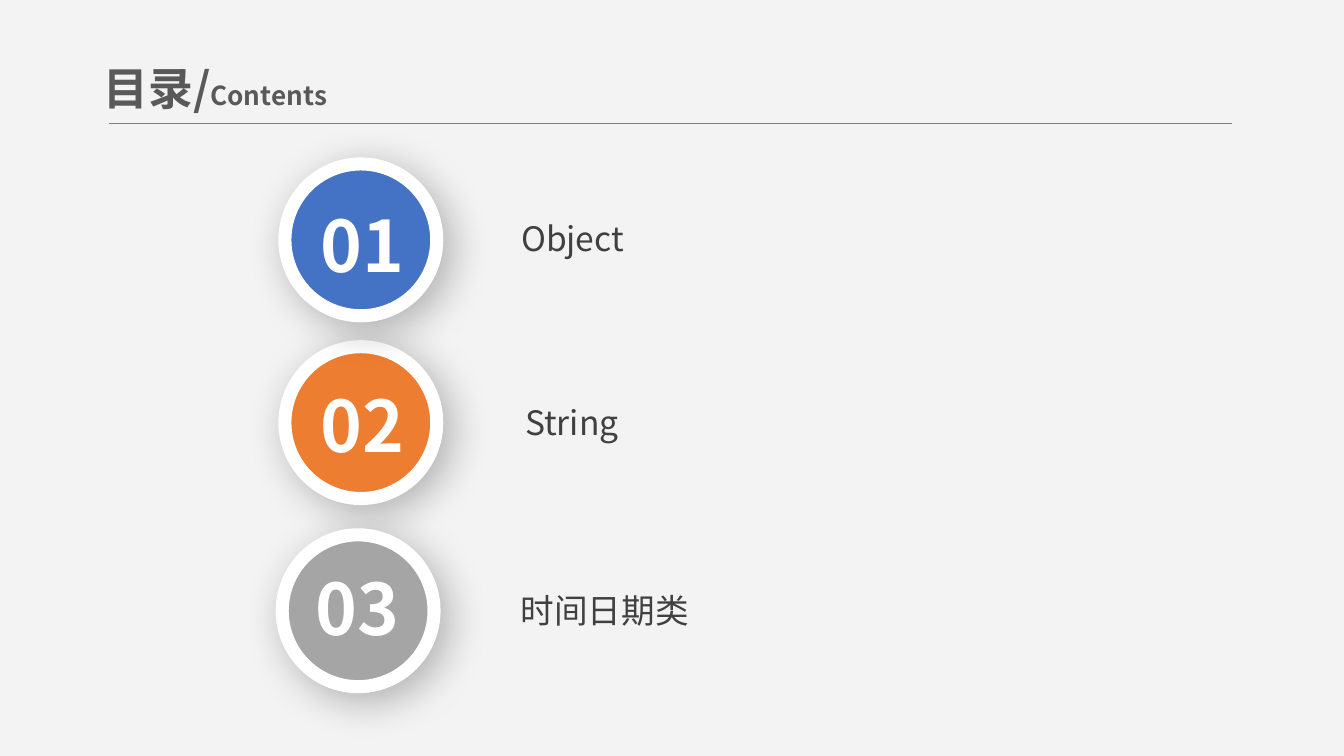
from lxml import etree
from pptx import Presentation
from pptx.dml.color import RGBColor
from pptx.enum.shapes import MSO_CONNECTOR, MSO_SHAPE
from pptx.enum.text import MSO_ANCHOR, MSO_AUTO_SIZE, PP_ALIGN
from pptx.oxml import parse_xml
from pptx.oxml.ns import nsdecls, qn
from pptx.util import Inches, Pt

STRAIGHT = MSO_CONNECTOR.STRAIGHT
OVAL = MSO_SHAPE.OVAL
MIDDLE = MSO_ANCHOR.MIDDLE
NO_FIT, GROW = MSO_AUTO_SIZE.NONE, MSO_AUTO_SIZE.SHAPE_TO_FIT_TEXT
LEFT, CENTER = PP_ALIGN.LEFT, PP_ALIGN.CENTER

FONT = "Noto Sans CJK SC"
BACKGROUND = RGBColor(0xF3, 0xF3, 0xF3)
HEADING = RGBColor(0x59, 0x59, 0x59)
RULE = RGBColor(0x80, 0x80, 0x80)
BODY = RGBColor(0x40, 0x40, 0x40)
WHITE = RGBColor(0xFF, 0xFF, 0xFF)
BLUE = RGBColor(0x44, 0x72, 0xC4)
ORANGE = RGBColor(0xED, 0x7D, 0x31)
GRAY = RGBColor(0xA5, 0xA5, 0xA5)

SLIDE_WIDTH = 10
SLIDE_HEIGHT = SLIDE_WIDTH * 9 / 16
BADGE_SIZE = 1.13
TOPICS = [
    ("Object", 3.52, 1.58, 1.48),
    ("String", 3.6, 2.95, 1.31),
    ("时间日期类", 3.52, 4.35, 1.96),
]
BADGES = [
    ("02", ORANGE, (2.12, 2.58), (2.27, 2.8)),
    ("03", GRAY, (2.1, 3.98), (2.23, 4.16)),
    ("01", BLUE, (2.12, 1.22), (2.27, 1.46)),
]


def add_run(paragraph, text, *, size, color, bold=False):
    run = paragraph.add_run()
    run.text = text
    run.font.size = Pt(size)
    run.font.bold = bold
    run.font.color.rgb = color
    run.font.name = FONT
    east_asian = etree.SubElement(run.font._element, qn("a:ea"))
    east_asian.set("typeface", FONT)


def add_label(shapes, text, left, top, width, height, **style):
    label = shapes.add_textbox(Inches(left), Inches(top), Inches(width), Inches(height))
    frame = label.text_frame
    frame.word_wrap = True
    frame.auto_size = GROW
    frame.margin_left = frame.margin_right = Inches(0.07)
    frame.margin_top = frame.margin_bottom = Inches(0.04)
    paragraph = frame.paragraphs[0]
    paragraph.alignment = CENTER
    add_run(paragraph, text, **style)


def add_heading(slide):
    title = slide.shapes.title
    title.left, title.top = Inches(0.67), Inches(0.38)
    title.width, title.height = Inches(2.47), Inches(0.54)
    frame = title.text_frame
    frame.vertical_anchor = MIDDLE
    frame.auto_size = NO_FIT
    paragraph = frame.paragraphs[0]
    paragraph.alignment = LEFT
    add_run(paragraph, "目录/", size=24, color=HEADING, bold=True)
    add_run(paragraph, "Contents", size=14, color=HEADING, bold=True)


def add_rule(slide):
    y = Inches(0.92)
    rule = slide.shapes.add_connector(STRAIGHT, Inches(0.81), y, Inches(9.17), y)
    rule.line.color.rgb = RULE
    rule.line.width = Pt(0.5)
    etree.SubElement(rule._element.spPr, qn("a:effectLst"))


def add_soft_shadow(shape):
    shape.shadow.inherit = False
    effects = shape._element.spPr.find(qn("a:effectLst"))
    effects.append(parse_xml(
        f'<a:outerShdw {nsdecls("a")} blurRad="{Pt(22)}" dist="{Pt(6)}" '
        'dir="2700000" algn="tl" rotWithShape="0"><a:srgbClr val="000000">'
        '<a:alpha val="28000"/></a:srgbClr></a:outerShdw>'
    ))


def add_badge(slide, number, color, disc_at, number_at):
    badge = slide.shapes.add_group_shape()
    left, top = disc_at
    disc = badge.shapes.add_shape(
        OVAL, Inches(left), Inches(top), Inches(BADGE_SIZE), Inches(BADGE_SIZE))
    disc.fill.solid()
    disc.fill.fore_color.rgb = color
    disc.line.color.rgb = WHITE
    disc.line.width = Pt(7)
    add_soft_shadow(disc)
    add_label(badge.shapes, number, *number_at, 0.86, 0.72,
              size=38, color=WHITE, bold=True)


def main():
    prs = Presentation()
    prs.slide_width, prs.slide_height = Inches(SLIDE_WIDTH), Inches(SLIDE_HEIGHT)
    slide = prs.slides.add_slide(prs.slide_layouts[5])
    slide.background.fill.solid()
    slide.background.fill.fore_color.rgb = BACKGROUND
    add_heading(slide)
    add_rule(slide)
    for topic, left, top, width in TOPICS:
        add_label(slide.shapes, topic, left, top, width, 0.38, size=18, color=BODY)
    for number, color, disc_at, number_at in BADGES:
        add_badge(slide, number, color, disc_at, number_at)
    prs.save("out.pptx")


if __name__ == "__main__":
    main()
